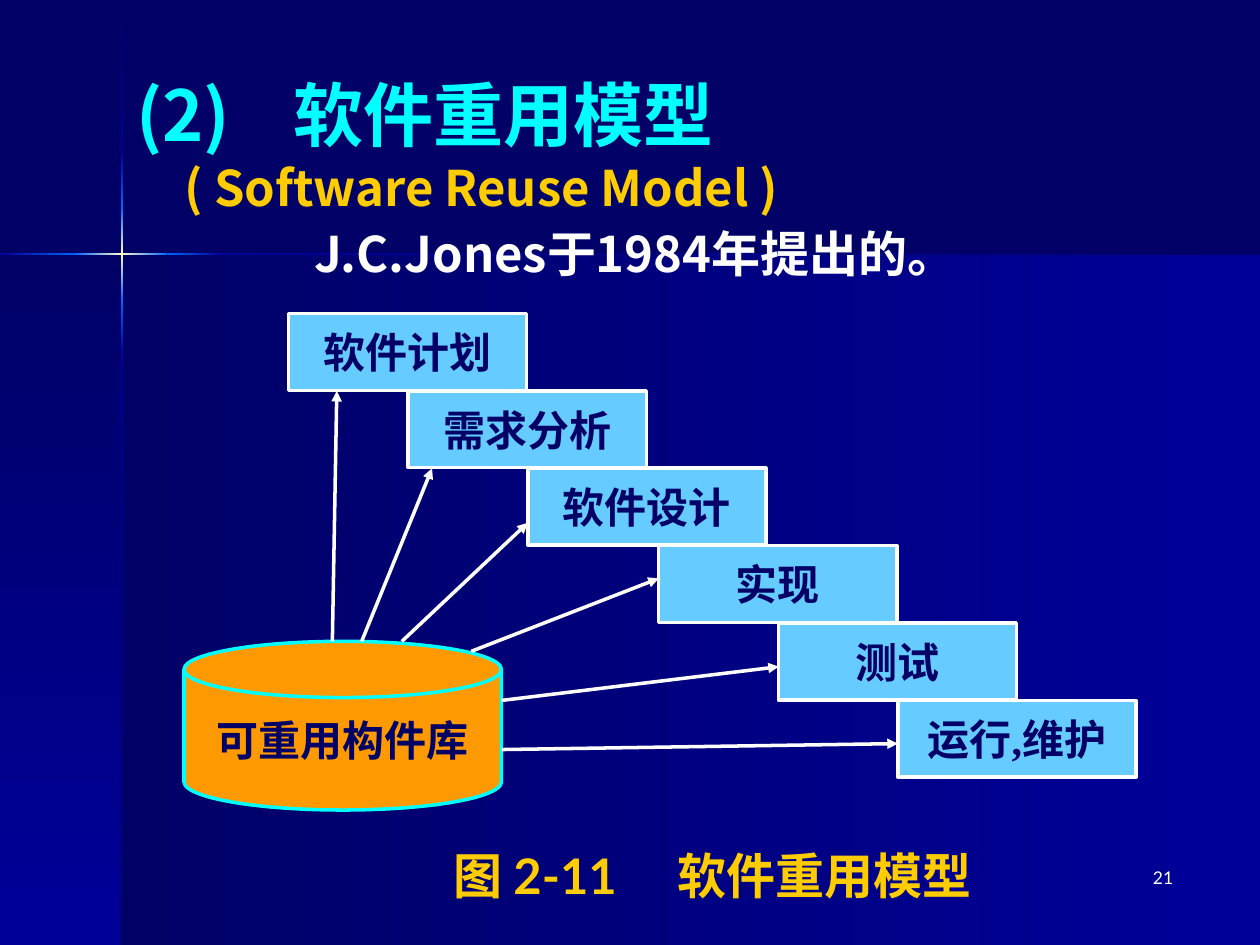
from copy import deepcopy
from dataclasses import dataclass

from lxml import etree
from pptx import Presentation
from pptx.dml.color import RGBColor
from pptx.enum.shapes import MSO_CONNECTOR, MSO_SHAPE
from pptx.enum.text import MSO_ANCHOR, PP_ALIGN
from pptx.oxml.ns import qn
from pptx.util import Cm, Pt

RECTANGLE = MSO_SHAPE.RECTANGLE
DISK = MSO_SHAPE.FLOWCHART_MAGNETIC_DISK
STRAIGHT = MSO_CONNECTOR.STRAIGHT
TOP = MSO_ANCHOR.TOP
MIDDLE = MSO_ANCHOR.MIDDLE
LEFT = PP_ALIGN.LEFT
CENTER = PP_ALIGN.CENTER
RIGHT = PP_ALIGN.RIGHT

NAVY, BLUE, BRIGHT, GLOW = "000066", "000099", "0066FF", "FFFFCC"
WHITE, GOLD, CYAN, ORANGE, SKY = "FFFFFF", "FFCC00", "00FFFF", "FF9900", "66CCFF"
LEFTWARD, DOWNWARD = 180, 270
STEP_WIDTH, STEP_HEIGHT = 4.8, 1.55


@dataclass
class Box:
    left: float
    top: float
    width: float
    height: float

    def lengths(self) -> tuple:
        return Cm(self.left), Cm(self.top), Cm(self.width), Cm(self.height)


@dataclass
class Band:
    box: Box
    colors: tuple
    angle: int


@dataclass
class TextStyle:
    font: str
    size: int
    color: str
    bold: bool = True
    alignment: PP_ALIGN = LEFT


@dataclass
class Arrow:
    start: tuple
    end: tuple


def column(top: float, bottom: float, *colors: str) -> Band:
    return Band(Box(2.44, top, 0.05, bottom - top), colors, DOWNWARD)


def row(left: float, right: float, *colors: str) -> Band:
    return Band(Box(left, 5.1, right - left, 0.05), colors, LEFTWARD)


BANDS = [
    Band(Box(2.46, 5.13, 22.94, 13.92), (BLUE, NAVY), LEFTWARD),
    Band(Box(0, 5.13, 2.46, 13.92), (NAVY, BLUE), DOWNWARD),
    column(0.03, 3.07, NAVY, BLUE),
    column(7.16, 19.05, BLUE, NAVY),
    row(4.5, 25.4, NAVY, BLUE),
    column(6.05, 7.16, BRIGHT, BLUE),
    column(3.07, 4.19, BLUE, BRIGHT),
    column(4.19, 6.05, BRIGHT, GLOW, BRIGHT),
    row(0, 1.55, BRIGHT, BLUE),
    row(3.38, 4.5, BLUE, BRIGHT),
    row(1.52, 3.38, BRIGHT, GLOW, BRIGHT),
]
STEPS = ["软件计划", "需求分析", "软件设计", "实现", "测试", "运行,维护"]
ARROWS = [
    Arrow((6.7, 12.93), (6.79, 7.88)),
    Arrow((7.29, 12.93), (8.71, 9.44)),
    Arrow((8.1, 12.93), (10.64, 10.54)),
    Arrow((9.5, 13.13), (13.28, 11.66)),
    Arrow((10.11, 14.12), (15.7, 13.44)),
    Arrow((10.11, 15.11), (18.1, 14.99)),
]
LABEL = TextStyle("Times New Roman", 24, NAVY, alignment=CENTER)


def rgb(color: str) -> RGBColor:
    return RGBColor.from_string(color)


def add_band(slide, band: Band) -> None:
    shape = slide.shapes.add_shape(RECTANGLE, *band.box.lengths())
    shape.shadow.inherit = False
    shape.line.fill.background()
    shape.fill.gradient()
    shape.fill.gradient_angle = band.angle
    stop_list = shape._element.spPr.find(f".//{qn('a:gsLst')}")
    while len(stop_list) < len(band.colors):
        stop_list.append(deepcopy(stop_list[0]))
    for index, (stop, color) in enumerate(zip(shape.fill.gradient_stops, band.colors)):
        stop.position = index / (len(band.colors) - 1)
        stop.color.rgb = rgb(color)


def add_tab(paragraph, position: float) -> None:
    tabs = etree.SubElement(paragraph._p.get_or_add_pPr(), qn("a:tabLst"))
    etree.SubElement(tabs, qn("a:tab"), pos=str(Cm(position)), algn="l")


def write(paragraph, text: str, style: TextStyle) -> None:
    paragraph.add_run().text = text
    paragraph.alignment = style.alignment
    font = paragraph.font
    font.name = style.font
    font.size = Pt(style.size)
    font.bold = style.bold
    font.color.rgb = rgb(style.color)


def add_text_box(slide, box: Box):
    frame = slide.shapes.add_textbox(*box.lengths()).text_frame
    frame.word_wrap = True
    return frame


def add_node(slide, kind: MSO_SHAPE, box: Box, text: str, fill: str, line: str) -> None:
    shape = slide.shapes.add_shape(kind, *box.lengths())
    shape.shadow.inherit = False
    shape.fill.solid()
    shape.fill.fore_color.rgb = rgb(fill)
    shape.line.color.rgb = rgb(line)
    shape.line.width = Pt(2)
    frame = shape.text_frame
    frame.word_wrap = False
    frame.vertical_anchor = MIDDLE
    write(frame.paragraphs[0], text, LABEL)


def add_arrow(slide, arrow: Arrow) -> None:
    points = [Cm(value) for value in (*arrow.start, *arrow.end)]
    connector = slide.shapes.add_connector(STRAIGHT, *points)
    connector.line.color.rgb = rgb(WHITE)
    connector.line.width = Pt(2)
    etree.SubElement(connector.line._get_or_add_ln(), qn("a:tailEnd"), type="triangle")
    etree.SubElement(connector._element.spPr, qn("a:effectLst"))


def format_title(slide) -> None:
    title = slide.shapes.title
    title.left, title.top, title.width, title.height = Box(2.49, 1.32, 12.8, 1.96).lengths()
    frame = title.text_frame
    frame.vertical_anchor = TOP
    paragraph = frame.paragraphs[0]
    add_tab(paragraph, 3.18)
    write(paragraph, "(2)\t软件重用模型", TextStyle("Noto Sans CJK JP", 40, CYAN))
    slide.shapes._spTree.append(title._element)


def add_introduction(slide) -> None:
    frame = add_text_box(slide, Box(1.47, 3.05, 23.93, 3.2))
    english, author = frame.paragraphs[0], frame.add_paragraph()
    for paragraph, indent in ((english, 2), (author, 4.62)):
        paragraph._p.get_or_add_pPr().set("marL", str(Cm(indent)))
    author.space_before = Pt(4)
    write(english, "( Software Reuse Model )", TextStyle("Noto Sans CJK SC", 28, GOLD))
    write(author, "J.C.Jones于1984年提出的。", TextStyle("Noto Sans CJK SC", 28, WHITE))


def main() -> None:
    presentation = Presentation()
    presentation.slide_width, presentation.slide_height = Cm(25.4), Cm(19.05)
    slide = presentation.slides.add_slide(presentation.slide_layouts[5])
    slide.background.fill.solid()
    slide.background.fill.fore_color.rgb = rgb(NAVY)

    for band in BANDS:
        add_band(slide, band)
    format_title(slide)
    add_introduction(slide)

    for index, step in enumerate(STEPS):
        shift = 0.23 if index >= 3 else 0
        box = Box(5.82 + 2.41 * index + shift, 6.32 + 1.56 * index, STEP_WIDTH, STEP_HEIGHT)
        add_node(slide, RECTANGLE, box, step, SKY, WHITE)
    add_node(slide, DISK, Box(3.71, 12.93, 6.4, 3.4), "可重用构件库", ORANGE, CYAN)
    for arrow in ARROWS:
        add_arrow(slide, arrow)

    caption = add_text_box(slide, Box(8.89, 16.92, 12.4, 1.45)).paragraphs[0]
    add_tab(caption, 4.52)
    write(caption, "图 2-11\t软件重用模型", TextStyle("Lato", 28, GOLD))
    number = add_text_box(slide, Box(18.62, 17.35, 5.28, 1.27)).paragraphs[0]
    write(number, "21", TextStyle("Lato", 10, WHITE, False, RIGHT))

    presentation.save("out.pptx")


if __name__ == "__main__":
    main()
